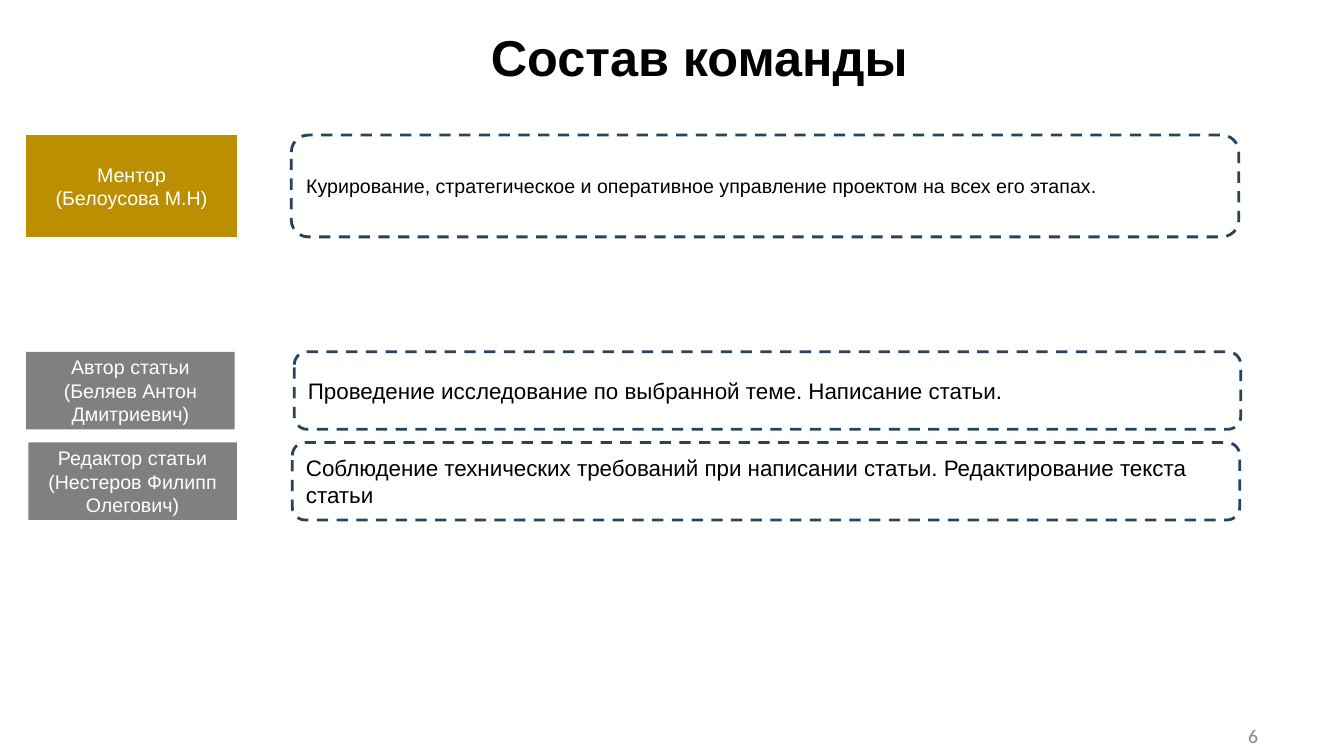
from pptx import Presentation
from pptx.dml.color import RGBColor
from pptx.enum.dml import MSO_LINE
from pptx.enum.shapes import MSO_SHAPE
from pptx.enum.text import MSO_ANCHOR, MSO_AUTO_SIZE, PP_ALIGN
from pptx.util import Pt

RECT, ROUNDED = MSO_SHAPE.RECTANGLE, MSO_SHAPE.ROUNDED_RECTANGLE
LEFT, CENTER, RIGHT = PP_ALIGN.LEFT, PP_ALIGN.CENTER, PP_ALIGN.RIGHT
TOP, MIDDLE = MSO_ANCHOR.TOP, MSO_ANCHOR.MIDDLE
DASH = MSO_LINE.DASH
NO_AUTOFIT = MSO_AUTO_SIZE.NONE
TITLE_ONLY = 5

BLACK, WHITE, GREY, GOLD, NAVY = "000000", "FFFFFF", "808080", "BC8F00", "27435D"
NUMBER_GREY = "888888"

# top, height, role left, role width, role fill, role lines,
# duty left, duty width, duty size, duty text
TEAM = [
    (96.5, 72.7, 18.7, 150.5, GOLD, ["Ментор", "(Белоусова М.Н)"],
     208.1, 676.8, 14,
     "Курирование, стратегическое и оперативное управление проектом на всех его этапах."),
    (251.3, 55.4, 18.7, 149, GREY, ["Автор статьи", "(Беляев Антон Дмитриевич)"],
     210.2, 676.1, 16,
     "Проведение исследование по выбранной теме. Написание статьи."),
    (316.1, 55.4, 20.2, 149, GREY, ["Редактор статьи", "(Нестеров Филипп Олегович)"],
     208.8, 676.8, 16,
     "Соблюдение технических требований при написании статьи. "
     "Редактирование текста статьи"),
]


def rgb(color):
    return RGBColor.from_string(color)


def place(sp, left, top, width, height):
    sp.left, sp.top, sp.width, sp.height = Pt(left), Pt(top), Pt(width), Pt(height)


def write(sp, lines, size, color, align=LEFT, anchor=MIDDLE, font="Arial",
          bold=False, wrap=True):
    """Fill a shape with one paragraph per line."""
    tf = sp.text_frame
    tf.auto_size = NO_AUTOFIT
    tf.word_wrap = wrap
    tf.vertical_anchor = anchor
    tf.margin_left = tf.margin_right = Pt(7.2)
    tf.margin_top = tf.margin_bottom = Pt(3.6)
    for i, line in enumerate(lines):
        p = tf.add_paragraph() if i else tf.paragraphs[0]
        p.alignment = align
        r = p.add_run()
        r.text = line
        r.font.name, r.font.size, r.font.bold = font, Pt(size), bold
        r.font.color.rgb = rgb(color)


def add_title(slide, text):
    sp = slide.shapes.title
    place(sp, 343.4, 15.1, 312.5, 72.7)
    write(sp, [text], 36, BLACK, anchor=TOP, bold=True, wrap=False)


def add_role(slide, left, top, width, height, fill, lines):
    sp = slide.shapes.add_shape(RECT, Pt(left), Pt(top), Pt(width), Pt(height))
    sp.shadow.inherit = False
    sp.fill.solid()
    sp.fill.fore_color.rgb = rgb(fill)
    sp.line.fill.background()
    write(sp, lines, 14, WHITE, align=CENTER)


def add_duty(slide, left, top, width, height, size, text):
    sp = slide.shapes.add_shape(ROUNDED, Pt(left), Pt(top), Pt(width), Pt(height))
    sp.shadow.inherit = False
    sp.fill.background()
    sp.line.color.rgb = rgb(NAVY)
    sp.line.width = Pt(2)
    sp.line.dash_style = DASH
    write(sp, [text], size, BLACK)


def add_page_number(slide, number):
    sp = slide.shapes.add_textbox(Pt(689.8), Pt(511.2), Pt(216), Pt(28.8))
    write(sp, [number], 14, NUMBER_GREY, align=RIGHT, font="Calibri")


def main():
    prs = Presentation()
    prs.slide_width, prs.slide_height = Pt(960), Pt(540)
    slide = prs.slides.add_slide(prs.slide_layouts[TITLE_ONLY])
    add_title(slide, "Состав команды")
    for (top, height, role_left, role_width, fill, lines,
         duty_left, duty_width, size, duty) in TEAM:
        add_role(slide, role_left, top, role_width, height, fill, lines)
        add_duty(slide, duty_left, top, duty_width, height, size, duty)
    add_page_number(slide, "6")
    prs.save("out.pptx")


if __name__ == "__main__":
    main()
